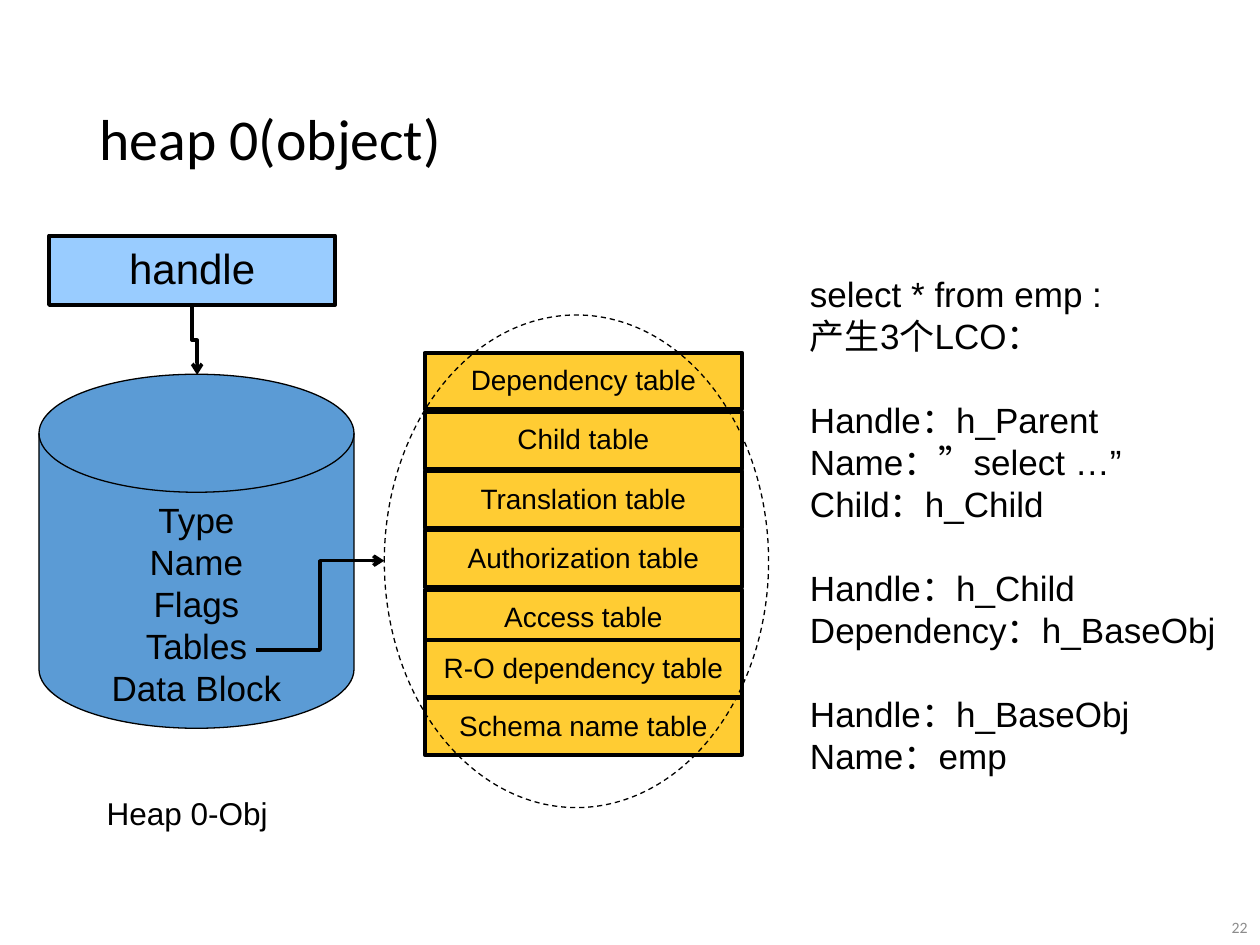
import pptx
import pptx.util
import pptx.dml.color
import pptx.enum.dml
import pptx.enum.shapes
import pptx.enum.text
import pptx.oxml
import pptx.oxml.ns

RGBColor = pptx.dml.color.RGBColor
BLACK = RGBColor(0x00, 0x00, 0x00)
GRAY = RGBColor(0x8C, 0x8C, 0x8C)
PALE_BLUE = RGBColor(0x99, 0xCC, 0xFF)
BLUE = RGBColor(0x5B, 0x9B, 0xD5)
YELLOW = RGBColor(0xFF, 0xCC, 0x33)

Pt = pptx.util.Pt
SHAPE = pptx.enum.shapes.MSO_SHAPE
ALIGN = pptx.enum.text.PP_ALIGN
ANCHOR = pptx.enum.text.MSO_ANCHOR

deck = pptx.Presentation()
deck.slide_width = pptx.util.Inches(10)
deck.slide_height = pptx.util.Inches(7.5)
slide = deck.slides.add_slide(deck.slide_layouts[5])

# Grid of 100 columns by 75 rows
COL = deck.slide_width / 100
ROW = deck.slide_height / 75


def grid(left, top, width, height):
    return [int(left * COL), int(top * ROW), int(width * COL), int(height * ROW)]


def write(part, lines, size, align=ALIGN.CENTER, spacing=None, anchor=ANCHOR.TOP,
          name="Arial", color=BLACK, inset=None, wrap=True, gaps=()):
    frame = part.text_frame
    settings = {"word_wrap": wrap, "vertical_anchor": anchor,
                "auto_size": pptx.enum.text.MSO_AUTO_SIZE.NONE}
    if inset is not None:
        for side in ("left", "top", "right", "bottom"):
            settings["margin_" + side] = inset
    for key, value in settings.items():
        setattr(frame, key, value)
    frame.text = "\n".join(lines)
    for number, paragraph in enumerate(frame.paragraphs):
        paragraph.alignment = align
        paragraph.line_spacing = spacing
        if number in gaps:
            paragraph.space_before = Pt(24)
        for key, value in {"size": Pt(size), "name": name}.items():
            setattr(paragraph.font, key, value)
        paragraph.font.color.rgb = color


# Title and page number
heading = slide.shapes.title
for key, value in zip(("left", "top", "width", "height"), grid(6.9, 4, 86.2, 14.5)):
    setattr(heading, key, value)
write(heading, ["heap 0(object)"], 33, ALIGN.LEFT, 0.9, ANCHOR.MIDDLE, "Calibri")
page = slide.shapes.add_textbox(*grid(76.7, 72.1, 23.3, 2.9))
write(page, ["22"], 9, ALIGN.RIGHT, None, ANCHOR.MIDDLE, "Calibri", GRAY)

box_text = {"spacing": 0.95, "anchor": ANCHOR.MIDDLE,
            "inset": pptx.util.Inches(0.05), "wrap": False}

# Handle, heap cylinder and the stack of tables inside an ellipse
tables = slide.shapes.add_group_shape().shapes
table_names = ["Dependency table", "Child table", "Translation table",
               "Authorization table", "Access table",
               "R-O dependency table", "Schema name table"]
table_tops = [28 + 4.7 * n for n in range(5)] + [50.8, 55.4]
heap_fields = ["Type", "Name", "Flags", "Tables", "Data Block"]

parts = [
    (slide.shapes, SHAPE.RECTANGLE, (3.9, 18.7, 22.7, 5.5), PALE_BLUE, 2.25,
     ["handle"], 24, box_text),
    (slide.shapes, SHAPE.FLOWCHART_MAGNETIC_DISK, (3.1, 29.7, 25, 28.1), BLUE, 0.75,
     heap_fields, 20, {}),
]
for table_name, top in zip(table_names, table_tops):
    parts.append((tables, SHAPE.RECTANGLE, (33.7, top, 25.2, 4.5), YELLOW, 2.25,
                  [table_name], 16, box_text))
parts.append((tables, SHAPE.OVAL, (30.5, 25, 30.5, 39.1), None, 0.75, [], 16, {}))

for owner, kind, place, fill, weight, lines, size, text_format in parts:
    part = owner.add_shape(kind, *grid(*place))
    part.shadow.inherit = False
    part.line.color.rgb = BLACK
    part.line.width = Pt(weight)
    if fill is None:
        part.fill.background()
        part.line.dash_style = pptx.enum.dml.MSO_LINE.DASH
    else:
        part.fill.solid()
        part.fill.fore_color.rgb = fill
        write(part, lines, size, **text_format)

# Bent arrows: handle to heap (turned upright), Tables field to the ellipse
for start_x, start_y, end_x, end_y, turn in [(18.2, 26.8, 12.7, 27.2, 270),
                                             (20.3, 51.6, 30.5, 44.5, 0)]:
    arrow = slide.shapes.add_connector(pptx.enum.shapes.MSO_CONNECTOR.ELBOW,
                                       *grid(start_x, start_y, end_x, end_y))
    arrow.line.color.rgb = BLACK
    arrow.line.width = Pt(2)
    properties = arrow._element.spPr
    if turn:
        properties.find(pptx.oxml.ns.qn("a:xfrm")).set("rot", str(turn * 60000))
    arrow.line._get_or_add_ln().append(pptx.oxml.parse_xml(
        '<a:tailEnd %s type="arrow"/>' % pptx.oxml.ns.nsdecls("a")))
    properties.append(pptx.oxml.parse_xml(
        "<a:effectLst %s/>" % pptx.oxml.ns.nsdecls("a")))

# Caption and worked example
caption = slide.shapes.add_textbox(*grid(3.9, 62.5, 21.9, 4))
write(caption, ["Heap 0-Obj"], 18)
example = slide.shapes.add_textbox(*grid(63.3, 21.1, 35.2, 41.4))
write(example, ["select * from emp :", "产生3个LCO：",
                "Handle：h_Parent", "Name：”select …”", "Child：h_Child",
                "Handle：h_Child", "Dependency：h_BaseObj",
                "Handle：h_BaseObj", "Name：emp"],
      20, ALIGN.LEFT, gaps=(2, 5, 7))

deck.save("out.pptx")
